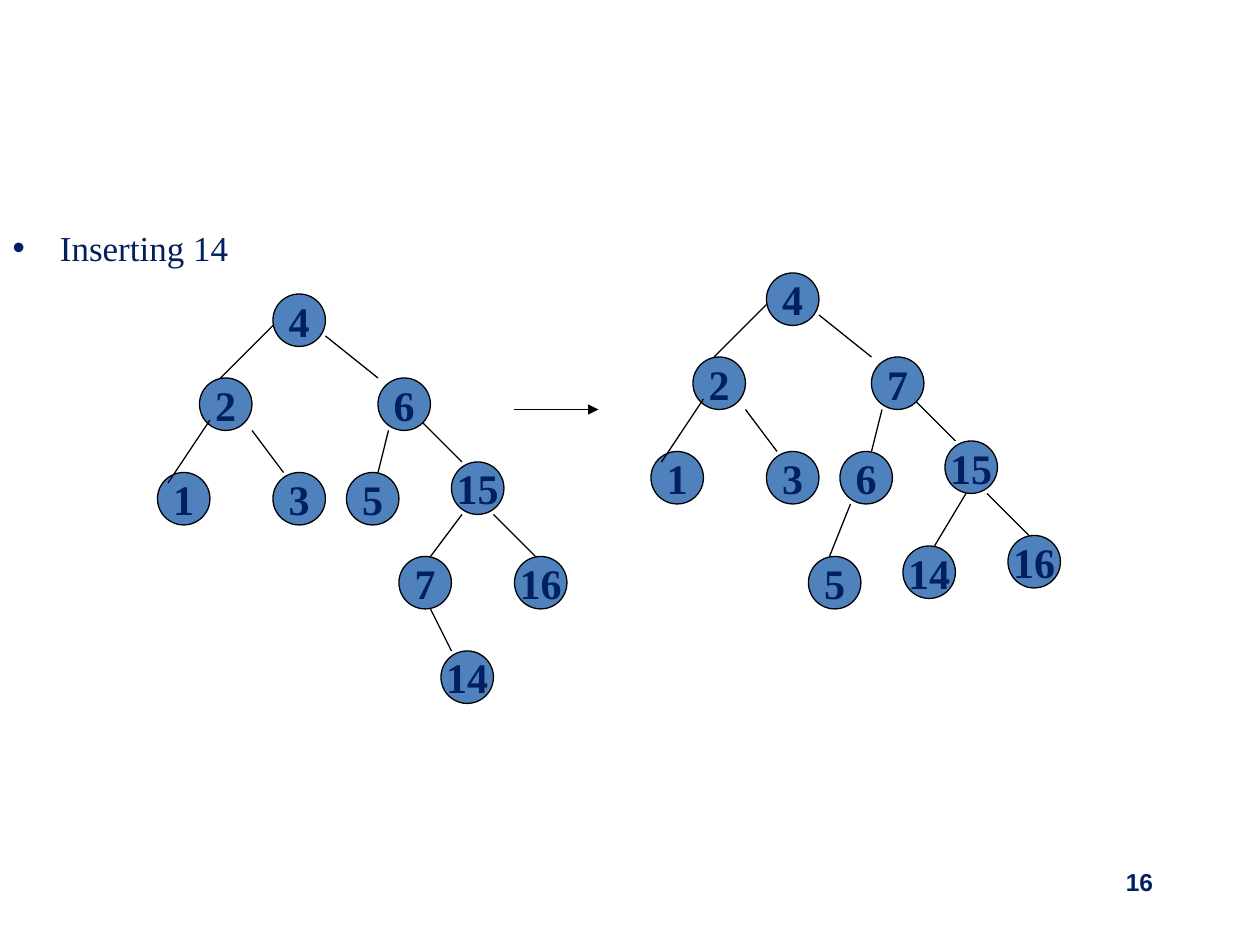
from dataclasses import dataclass

from pptx import Presentation
from pptx.dml.color import RGBColor
from pptx.enum import shapes, text
from pptx.oxml import ns
from pptx.util import Pt
from lxml import etree


@dataclass(frozen=True)
class Theme:
    """Colours, fonts and sizes of the slide."""
    ink: RGBColor = RGBColor(0x00, 0x20, 0x60)
    node: RGBColor = RGBColor(0x4F, 0x81, 0xBD)
    line: RGBColor = RGBColor(0x00, 0x00, 0x00)
    serif: str = "Times New Roman"
    sans: str = "Arial"
    bullet_size: int = 20
    key_size: int = 24
    number_size: int = 14
    line_width: float = 0.75


THEME = Theme()
GRID = 6
NODE = 5 * GRID

SHARED_NODES = [("4", 11, 0), ("2", 4, 8), ("1", 0, 17), ("3", 11, 17),
                ("15", 28, 16), ("16", 34, 25)]
BACK_EDGES = [(11, 3, 6, 8), (16, 4, 21, 8), (25, 12, 29, 16)]
FRONT_EDGES = [(5, 12, 1, 18), (9, 13, 12, 17), (22, 13, 21, 17), (32, 21, 36, 25)]

BEFORE_NODES = [("6", 21, 8), ("5", 18, 17), ("7", 23, 25), ("14", 27, 34)]
BEFORE_EDGES = [(29, 21, 26, 25), (26, 30, 28, 34)]
AFTER_NODES = [("7", 21, 8), ("6", 18, 17), ("5", 15, 27), ("14", 24, 26)]
AFTER_EDGES = [(19, 22, 17, 27), (30, 21, 27, 26)]


def style(paragraph, face, size, bold=None):
    """Set the font of a whole paragraph."""
    font = paragraph.font
    font.name, font.size, font.bold = face, Pt(size), bold
    font.color.rgb = THEME.ink


def add_line(slide, x1, y1, x2, y2, arrow=False):
    """Draw a straight line, with an arrowhead at its end if asked."""
    line = slide.shapes.add_connector(shapes.MSO_CONNECTOR.STRAIGHT,
                                      Pt(x1), Pt(y1), Pt(x2), Pt(y2))
    line.line.color.rgb = THEME.line
    line.line.width = Pt(THEME.line_width)
    if arrow:
        etree.SubElement(line.line._get_or_add_ln(), ns.qn("a:tailEnd"), type="triangle")
    etree.SubElement(line._element.spPr, ns.qn("a:effectLst"))


def add_node(slide, key, left, top):
    """Draw one tree node with its key."""
    node = slide.shapes.add_shape(shapes.MSO_SHAPE.OVAL, Pt(left), Pt(top), Pt(NODE), Pt(NODE))
    node.shadow.inherit = False
    node.fill.solid()
    node.fill.fore_color.rgb = THEME.node
    node.line.color.rgb = THEME.line
    node.line.width = Pt(THEME.line_width)
    frame = node.text_frame
    frame.word_wrap = False
    frame.vertical_anchor = text.MSO_ANCHOR.MIDDLE
    label = frame.paragraphs[0]
    label.text = key
    label.alignment = text.PP_ALIGN.CENTER
    style(label, THEME.serif, THEME.key_size, bold=True)


def add_tree(slide, left, top, nodes, edges):
    """Draw a search tree whose grid starts at left, top."""
    def add_edges(group):
        """Draw a group of edges given in grid steps."""
        for x1, y1, x2, y2 in group:
            add_line(slide, left + x1 * GRID, top + y1 * GRID,
                     left + x2 * GRID, top + y2 * GRID)

    add_edges(BACK_EDGES)
    for key, x, y in SHARED_NODES + nodes:
        add_node(slide, key, left + x * GRID, top + y * GRID)
    add_edges(FRONT_EDGES + edges)


def add_heading(slide, left, top, width, height):
    """Place the bulleted step in the body placeholder."""
    body = slide.placeholders[1]
    body.left, body.top, body.width, body.height = Pt(left), Pt(top), Pt(width), Pt(height)
    step = body.text_frame.paragraphs[0]
    step.text = "Inserting 14"
    step.space_before = Pt(5)
    style(step, THEME.serif, THEME.bullet_size)


def add_page_number(slide, left, top, width, height):
    """Place the page number."""
    box = slide.shapes.add_textbox(Pt(left), Pt(top), Pt(width), Pt(height))
    box.text_frame.word_wrap = True
    number = box.text_frame.paragraphs[0]
    number.text = "16"
    number.alignment = text.PP_ALIGN.RIGHT
    style(number, THEME.sans, THEME.number_size, bold=True)


def main():
    """Build the slide and save it."""
    deck = Presentation()
    deck.slide_width, deck.slide_height = Pt(720), Pt(540)
    slide = deck.slides.add_slide(deck.slide_layouts[1])
    title = slide.shapes.title._element
    title.getparent().remove(title)

    add_page_number(slide, 516, 492, 150, 36)
    add_heading(slide, 0, 126, 612, 342)
    add_tree(slide, 90, 168, BEFORE_NODES, BEFORE_EDGES)
    add_line(slide, 294, 234, 342, 234, arrow=True)
    add_tree(slide, 372, 156, AFTER_NODES, AFTER_EDGES)
    deck.save("out.pptx")


if __name__ == "__main__":
    main()
